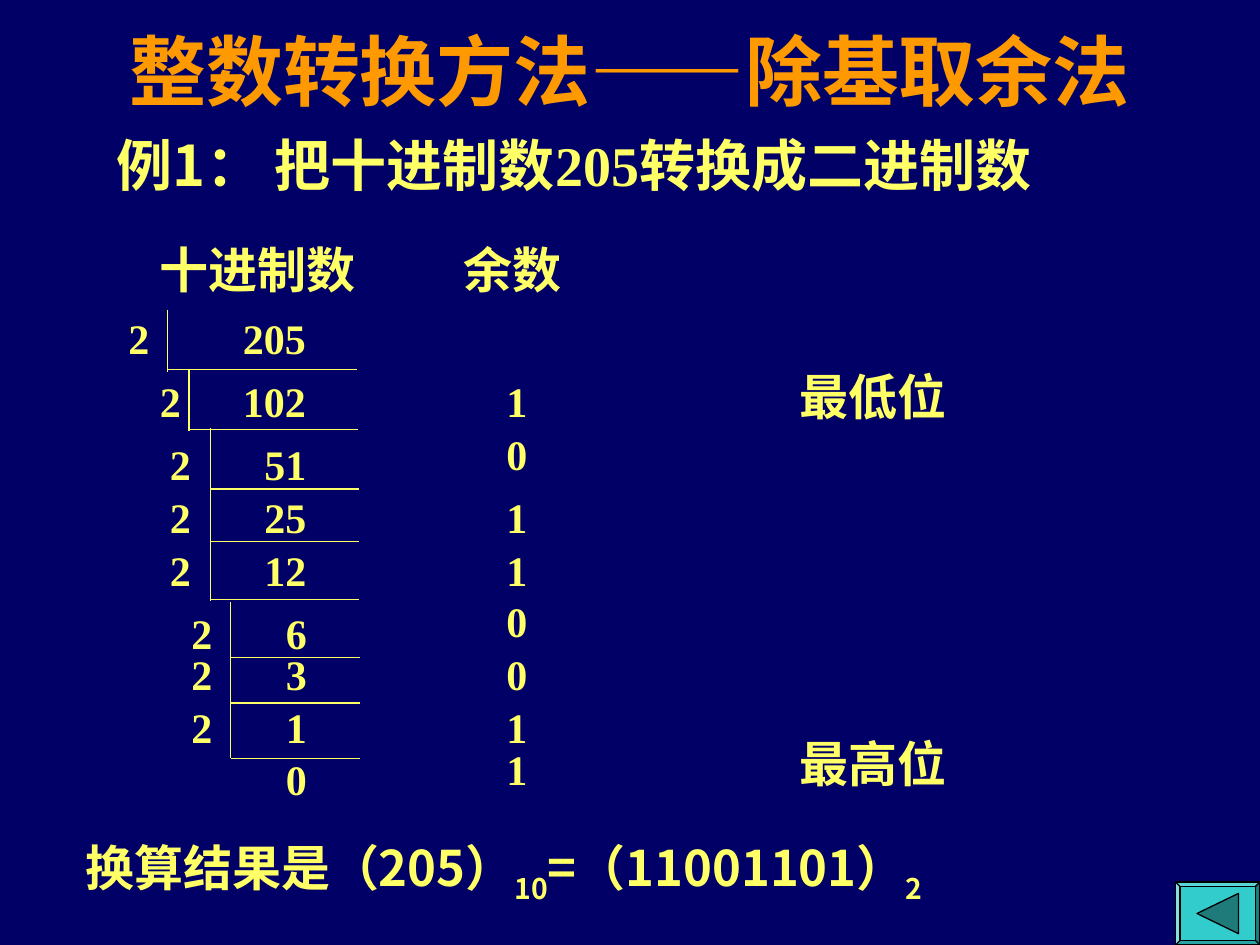
import pptx
import pptx.util
import pptx.dml.color
import pptx.enum.shapes
import pptx.enum.text
import pptx.oxml.ns
import lxml.etree

Inches = pptx.util.Inches
SHAPES = pptx.enum.shapes.MSO_SHAPE
COLORS = {"back": "000066", "title": "FF9900", "text": "FFFF66",
          "button": "33CCCC", "arrow": "1F7A7A", "edge": "000000"}
SERIF, SANS = "Times New Roman", "Noto Sans CJK SC"

# Division steps: top, divisor left, bracket left, bracket top, rule y, rule right
STEPS = [
    (0.00, 0.00, 0.41, 0.03, 0.50, 1.91),
    (0.50, 0.25, 0.58, 0.50, 0.98, 1.92),
    (1.00, 0.33, 0.75, 0.97, 1.45, 1.93),
    (1.42, 0.33, 0.75, 1.39, 1.87, 1.93),
    (1.84, 0.33, 0.75, 1.85, 2.33, 1.93),
    (2.34, 0.50, 0.91, 2.35, 2.79, 1.94),
    (2.67, 0.50, 0.91, 2.67, 3.15, 1.94),
    (3.09, 0.50, 0.91, 3.10, 3.59, 1.94),
]
LAST_QUOTIENT_TOP = 3.50
REMAINDER_TOPS = [0.50, 0.92, 1.42, 1.84, 2.25, 2.67, 3.09, 3.42]


def rgb(name):
    return pptx.dml.color.RGBColor.from_string(COLORS[name])


def write_spans(para, spans, size, color="text"):
    """Write (text, font, baseline) spans into a paragraph."""
    for text, face, baseline in spans:
        span = para.add_run()
        span.text = text
        formats = {"name": face, "size": pptx.util.Pt(size), "bold": True}
        for key, value in formats.items():
            setattr(span.font, key, value)
        span.font.color.rgb = rgb(color)
        properties = span.font._element
        east = lxml.etree.SubElement(properties, pptx.oxml.ns.qn("a:ea"))
        east.set("typeface", SANS)
        if baseline:
            properties.set("baseline", str(baseline))


def add_text(page, left, top, width, height, spans, size):
    box = page.shapes.add_textbox(*map(Inches, (left, top, width, height)))
    formats = {"word_wrap": True,
               "auto_size": pptx.enum.text.MSO_AUTO_SIZE.SHAPE_TO_FIT_TEXT}
    for key, value in formats.items():
        setattr(box.text_frame, key, value)
    if isinstance(spans, str):
        spans = [(spans, SERIF, 0)]
    write_spans(box.text_frame.paragraphs[0], spans, size)


def add_rule(page, *ends):
    rule = page.shapes.add_connector(
        pptx.enum.shapes.MSO_CONNECTOR.STRAIGHT, *map(Inches, ends))
    rule.line.color.rgb = rgb("text")
    rule.line.width = pptx.util.Pt(0.75)
    lxml.etree.SubElement(rule._element.spPr, pptx.oxml.ns.qn("a:effectLst"))


def place_title(page, left, top, width, height):
    title = page.shapes.title
    box = {"left": left, "top": top, "width": width, "height": height}
    for key, value in box.items():
        setattr(title, key, Inches(value))
    title.text_frame.vertical_anchor = pptx.enum.text.MSO_ANCHOR.MIDDLE
    para = title.text_frame.paragraphs[0]
    para.alignment = pptx.enum.text.PP_ALIGN.CENTER
    write_spans(para, [("整数转换方法——除基取余法", SERIF, 0)], 44, "title")


def place_division(page, left, top, number):
    """Repeated division by two, one bracket for each step."""
    def add_quotient(value, row_top):
        shift = 0.91 + 0.17 * (3 - len(str(value)))
        add_text(page, left + shift, top + row_top, 1.17, 0.5, str(value), 24)

    for row_top, divisor, bracket, start, rule, right in STEPS:
        add_quotient(number, row_top)
        add_text(page, left + divisor, top + row_top, 0.58, 0.5, "2", 24)
        add_rule(page, left + bracket, top + start,
                 left + bracket, top + start + 0.49)
        add_rule(page, left + bracket, top + rule, left + right, top + rule)
        number //= 2
    add_quotient(number, LAST_QUOTIENT_TOP)


def place_remainders(page, left, top, number):
    for row_top in REMAINDER_TOPS:
        add_text(page, left, top + row_top, 0.58, 0.5, str(number % 2), 24)
        number //= 2


def paint(shape, fill):
    shape.shadow.inherit = False
    shape.fill.solid()
    shape.fill.fore_color.rgb = rgb(fill)
    shape.line.color.rgb = rgb("edge")
    shape.line.width = pptx.util.Pt(0.75)


def place_back_button(page, left, top, width, height):
    button = page.shapes.add_shape(
        SHAPES.BEVEL, *map(Inches, (left, top, width, height)))
    button.adjustments[0] = 0.07
    paint(button, "button")
    # Triangle pointing left
    tip, base, middle, half = left + 0.17, left + 0.5, top + height / 2, 0.16
    outline = page.shapes.build_freeform(Inches(tip), Inches(middle))
    outline.add_line_segments([(Inches(base), Inches(middle - half)),
                               (Inches(base), Inches(middle + half))])
    paint(outline.convert_to_shape(), "arrow")


def main():
    deck = pptx.Presentation()
    deck.slide_width, deck.slide_height = Inches(10), Inches(7.5)
    page = deck.slides.add_slide(deck.slide_layouts[5])
    page.background.fill.solid()
    page.background.fill.fore_color.rgb = rgb("back")

    # Title and example
    place_title(page, 0.75, -0.07, 8.5, 1.25)
    add_text(page, 0.83, 0.99, 8.5, 0.75,
             [("例1： 把十进制数", SANS, 0), ("205", SERIF, 0),
              ("转换成二进制数", SANS, 0)], 32)

    # Column headings and bit labels
    for text, left, top, width in [("十进制数", 1.17, 1.85, 2),
                                   ("余数", 3.58, 1.85, 2),
                                   ("最低位", 6.25, 2.86, 1.75),
                                   ("最高位", 6.25, 5.77, 1.75)]:
        add_text(page, left, top, width, 0.57, text, 28)

    # Worked division
    place_division(page, 0.92, 2.43, 205)
    place_remainders(page, 3.92, 2.43, 205)

    # Result and button
    add_text(page, 0.58, 6.6, 9.17, 0.63,
             [("换算结果是（205）", SANS, 0), ("10", SANS, -25000),
              ("=（11001101）", SANS, 0), ("2", SANS, -25000)], 28)
    place_back_button(page, 9.33, 7, 0.67, 0.5)
    deck.save("out.pptx")


if __name__ == "__main__":
    main()
